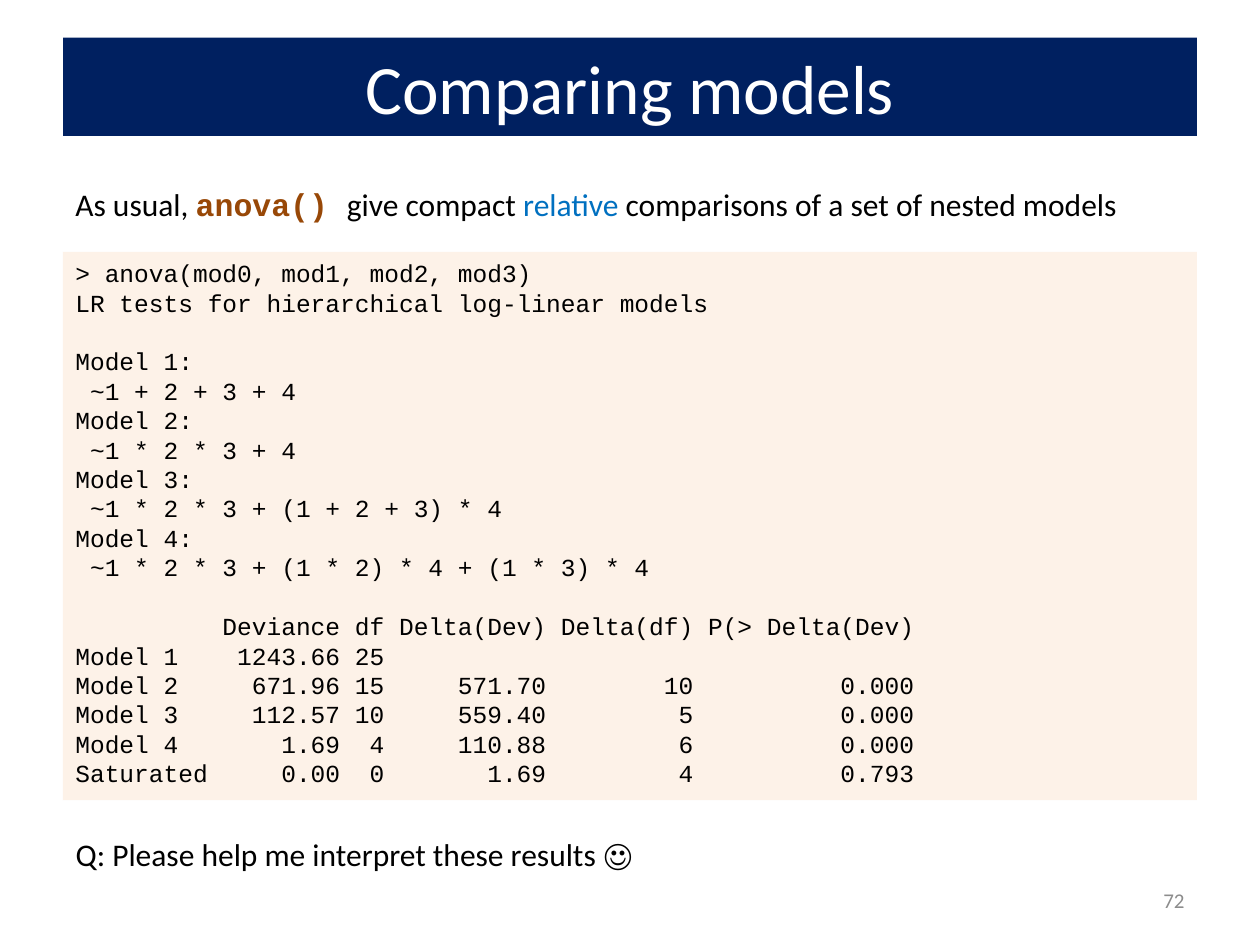
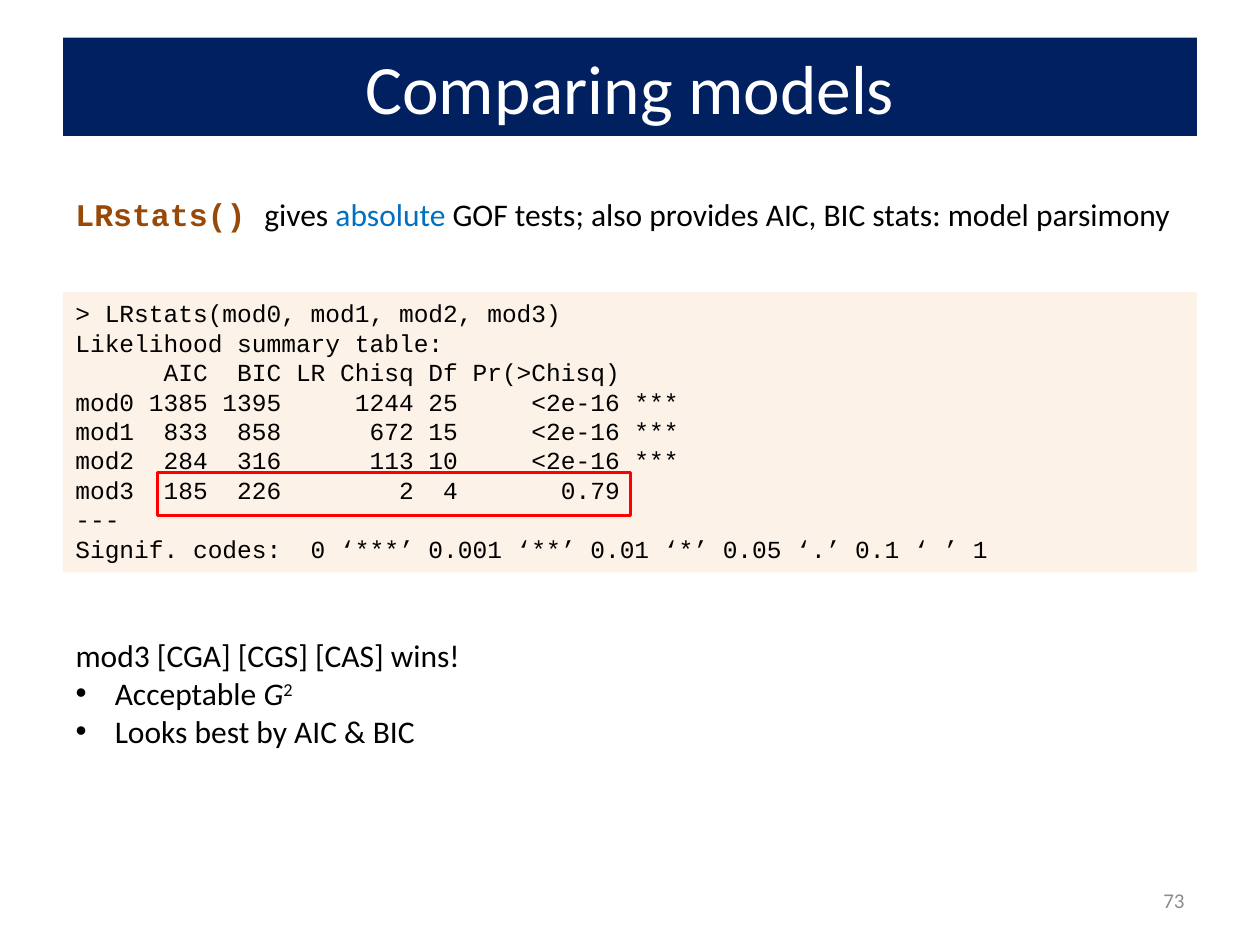
from lxml.etree import SubElement
from pptx import Presentation
from pptx.dml.color import RGBColor
from pptx.enum.shapes import MSO_SHAPE as Shape
from pptx.enum.text import MSO_ANCHOR as Anchor, MSO_AUTO_SIZE as AutoSize, PP_ALIGN as Align
from pptx.oxml.ns import qn
from pptx.util import Cm, Pt

NAVY = RGBColor(0x00, 0x20, 0x60)
WHITE = RGBColor(0xFF, 0xFF, 0xFF)
BLACK = RGBColor(0x00, 0x00, 0x00)
GRAY = RGBColor(0x8C, 0x8C, 0x8C)
BROWN = RGBColor(0x98, 0x48, 0x07)
BLUE = RGBColor(0x00, 0x70, 0xC0)
PEACH = RGBColor(0xFD, 0xEA, 0xDA)
RED = RGBColor(0xFF, 0x00, 0x00)
SANS, MONO = "Calibri", "Courier New"

# Span styles: font settings by name
STYLES = {
    "plain": {},
    "function": {"name": MONO, "color": BROWN, "bold": True},
    "accent": {"color": BLUE},
    "italic": {"italic": True},
    "super": {"baseline": 30000},
}

# Content: spans are (text, style), closing lines are (bulleted, spans)
ANOVA_OUTPUT = """\
> anova(mod0, mod1, mod2, mod3)
LR tests for hierarchical log-linear models

Model 1:
 ~1 + 2 + 3 + 4
Model 2:
 ~1 * 2 * 3 + 4
Model 3:
 ~1 * 2 * 3 + (1 + 2 + 3) * 4
Model 4:
 ~1 * 2 * 3 + (1 * 2) * 4 + (1 * 3) * 4

          Deviance df Delta(Dev) Delta(df) P(> Delta(Dev)
Model 1    1243.66 25
Model 2     671.96 15     571.70        10          0.000
Model 3     112.57 10     559.40         5          0.000
Model 4       1.69  4     110.88         6          0.000
Saturated     0.00  0       1.69         4          0.793"""

LRSTATS_OUTPUT = """\
> LRstats(mod0, mod1, mod2, mod3)
Likelihood summary table:
      AIC  BIC LR Chisq Df Pr(>Chisq)
mod0 1385 1395     1244 25     <2e-16 ***
mod1  833  858      672 15     <2e-16 ***
mod2  284  316      113 10     <2e-16 ***
mod3  185  226        2  4       0.79
---
Signif. codes:  0 ‘***’ 0.001 ‘**’ 0.01 ‘*’ 0.05 ‘.’ 0.1 ‘ ’ 1"""

PAGES = [
    {
        "title": "Comparing models",
        "number": 72,
        "intro_top": 3.61,
        "intro": [("As usual, ", "plain"), ("anova() ", "function"),
                  ("give compact ", "plain"), ("relative", "accent"),
                  (" comparisons of a set of nested models", "plain")],
        "code_top": 5.08,
        "code": ANOVA_OUTPUT,
        "closing_top": 16.71,
        "closing": [(False, [("Q: Please help me interpret these results ☺", "plain")])],
    },
    {
        "title": "Comparing models",
        "number": 73,
        "intro_top": 3.81,
        "intro": [("LRstats() ", "function"), ("gives ", "plain"),
                  ("absolute", "accent"),
                  (" GOF tests; also provides AIC, BIC stats: model parsimony", "plain")],
        "code_top": 5.89,
        "code": LRSTATS_OUTPUT,
        "highlight": (3.18, 9.53, 9.53, 0.86),
        "closing_top": 12.7,
        "closing": [
            (False, [("mod3 [CGA] [CGS] [CAS] wins!", "plain")]),
            (True, [("Acceptable ", "plain"), ("G", "italic"), ("2", "super")]),
            (True, [("Looks best by AIC & BIC", "plain")]),
        ],
    },
]

# Shared geometry, in centimetres
LEFT, WIDTH = 1.27, 22.86
LINE_HEIGHT, CODE_LINE, CODE_PADDING = 0.77, 0.6, 0.25
BULLET_INDENT = 0.79


def place(shape, left, top, width, height):
    shape.left, shape.top = Cm(left), Cm(top)
    shape.width, shape.height = Cm(width), Cm(height)


def style_run(run, size, color=BLACK, name=SANS, bold=False, italic=False, baseline=0):
    font = run.font
    font.size, font.name, font.bold, font.italic = Pt(size), name, bold, italic
    font.color.rgb = color
    if baseline:
        run._r.get_or_add_rPr().set("baseline", str(baseline))


def add_spans(para, spans):
    for text, style in spans:
        run = para.add_run()
        run.text = text
        style_run(run, 18, **STYLES[style])


def set_bullet(para, bulleted):
    properties = para._p.get_or_add_pPr()
    indent = Cm(BULLET_INDENT) if bulleted else 0
    properties.set("marL", str(indent))
    properties.set("indent", str(-indent))
    if bulleted:
        SubElement(properties, qn("a:buFont"), typeface="Arial")
        SubElement(properties, qn("a:buChar"), char="•")
    else:
        SubElement(properties, qn("a:buNone"))


def add_title(page, text):
    title = page.shapes.title
    place(title, LEFT, 0.76, WIDTH, 1.98)
    title.fill.solid()
    title.fill.fore_color.rgb = NAVY
    frame = title.text_frame
    frame.text = text
    frame.auto_size = AutoSize.NONE
    frame.vertical_anchor = Anchor.MIDDLE
    frame.paragraphs[0].alignment = Align.CENTER
    style_run(frame.paragraphs[0].runs[0], 39.6, WHITE)


def add_text_box(page, left, top, width, height):
    box = page.shapes.add_textbox(Cm(left), Cm(top), Cm(width), Cm(height))
    box.text_frame.word_wrap = True
    return box.text_frame


def add_page_number(page, number):
    frame = add_text_box(page, 18.2, 17.65, 5.93, 1.01)
    frame.vertical_anchor = Anchor.MIDDLE
    frame.text = str(number)
    frame.paragraphs[0].alignment = Align.RIGHT
    style_run(frame.paragraphs[0].runs[0], 12, GRAY)


def add_rectangle(page, left, top, width, height):
    box = page.shapes.add_shape(Shape.RECTANGLE, Cm(left), Cm(top), Cm(width), Cm(height))
    box.shadow.inherit = False
    return box


def add_code(page, top, code):
    lines = code.split("\n")
    box = add_rectangle(page, LEFT, top, WIDTH, len(lines) * CODE_LINE + CODE_PADDING)
    box.fill.solid()
    box.fill.fore_color.rgb = PEACH
    tint = box.fill._xPr.find(qn("a:solidFill"))[0]
    SubElement(tint, qn("a:alpha"), val="60000")
    box.line.fill.background()
    frame = box.text_frame
    frame.word_wrap = True
    frame.vertical_anchor = Anchor.TOP
    frame.text = code
    for para in frame.paragraphs:
        para.alignment = Align.LEFT
        for run in para.runs:
            style_run(run, 14, name=MONO)
        if not para.runs:
            ending = SubElement(para._p, qn("a:endParaRPr"), sz="1400")
            SubElement(ending, qn("a:latin"), typeface=MONO)


def add_highlight(page, bounds):
    frame = add_rectangle(page, *bounds)
    frame.fill.background()
    frame.line.color.rgb = RED
    frame.line.width = Pt(2)


def add_closing(page, top, lines):
    body = page.placeholders[1]
    place(body, LEFT, top, WIDTH, len(lines) * LINE_HEIGHT + CODE_PADDING)
    frame = body.text_frame
    frame.auto_size = AutoSize.NONE
    for index, (bulleted, spans) in enumerate(lines):
        para = frame.add_paragraph() if index else frame.paragraphs[0]
        set_bullet(para, bulleted)
        para.space_before = Pt(0)
        add_spans(para, spans)


def main():
    deck = Presentation()
    deck.slide_width, deck.slide_height = Cm(25.4), Cm(19.05)
    for content in PAGES:
        page = deck.slides.add_slide(deck.slide_layouts[1])
        add_title(page, content["title"])
        add_page_number(page, content["number"])
        intro = add_text_box(page, LEFT, content["intro_top"], WIDTH, 1.02)
        add_spans(intro.paragraphs[0], content["intro"])
        add_code(page, content["code_top"], content["code"])
        add_closing(page, content["closing_top"], content["closing"])
        if "highlight" in content:
            add_highlight(page, content["highlight"])
    deck.save("out.pptx")


if __name__ == "__main__":
    main()
